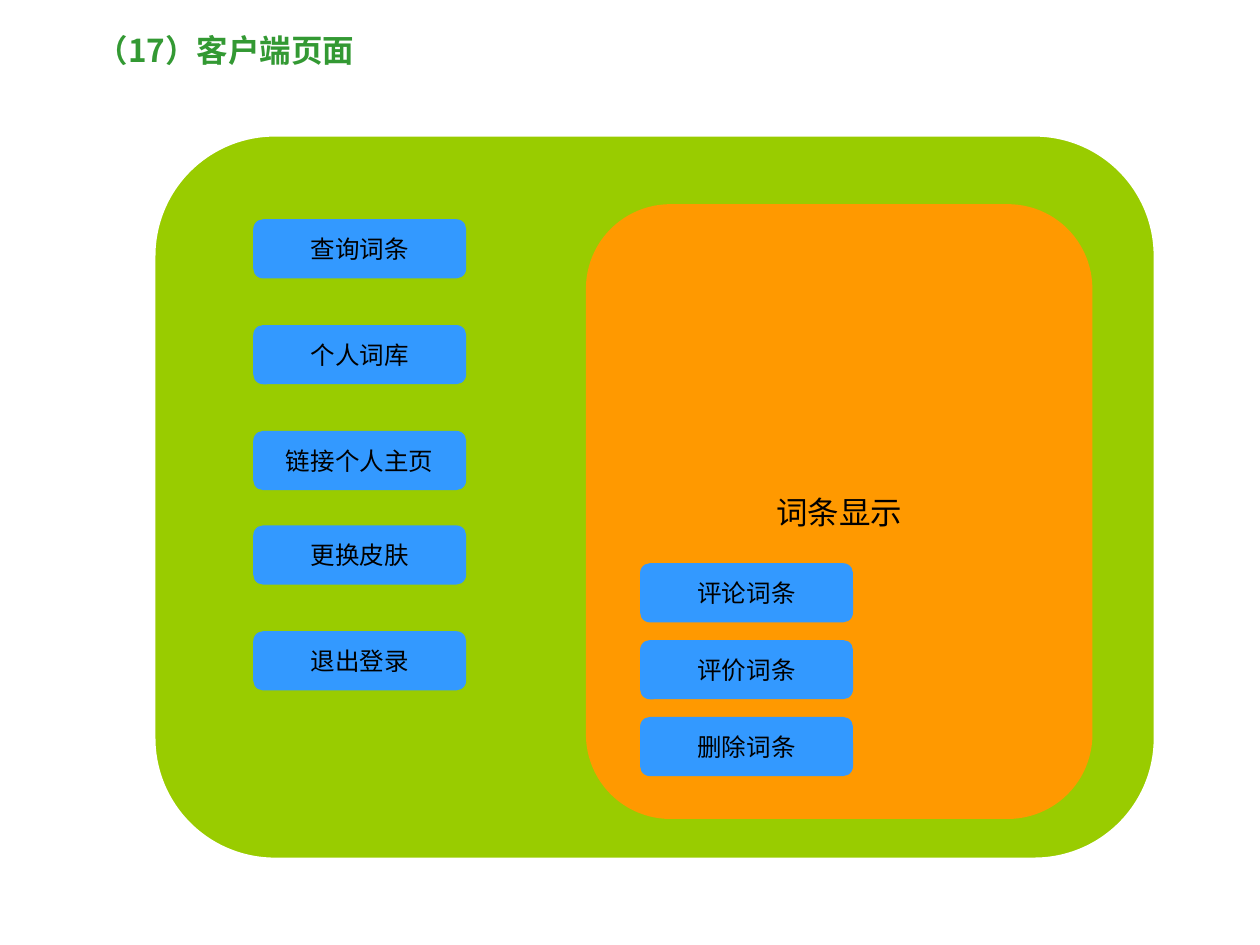
from pptx import Presentation
from pptx import util as u
from pptx.dml.color import RGBColor
from pptx.enum import shapes, text
from pptx.oxml import ns
from lxml import etree

COLUMNS, ROWS = 100, 75
CELL = u.Inches(0.1)
BUTTON_WIDTH, BUTTON_HEIGHT = 16.9, 4.7
MENU_PITCH, ACTION_PITCH = 8.4, 6.1
CORNER = 0.167
FONT = "Noto Sans CJK SC"

TITLE_GREEN = RGBColor(0x33, 0x99, 0x33)
LIME = RGBColor(0x99, 0xCC, 0x00)
ORANGE = RGBColor(0xFF, 0x99, 0x00)
BLUE = RGBColor(0x33, 0x99, 0xFF)
WHITE = RGBColor(0xFF, 0xFF, 0xFF)
BLACK = RGBColor(0x00, 0x00, 0x00)


def on_grid(box):
    return [round(length * CELL) for length in box]


def write(frame, words, size, color, align, bold=False):
    paragraph = frame.paragraphs[0]
    paragraph.text = words
    paragraph.alignment = align
    font = paragraph.font
    font.name, font.size, font.bold = FONT, u.Pt(size), bold
    font.color.rgb = color
    latin = paragraph._p.pPr.find(ns.qn("a:defRPr")).find(ns.qn("a:latin"))
    east_asian = etree.Element(ns.qn("a:ea"), typeface=FONT)
    latin.addnext(east_asian)


def rounded(slide, box, fill, words="", size=14):
    panel = slide.shapes.add_shape(shapes.MSO_SHAPE.ROUNDED_RECTANGLE, *on_grid(box))
    panel.adjustments[0] = CORNER
    panel.shadow.inherit = False
    panel.fill.solid()
    panel.fill.fore_color.rgb = fill
    panel.line.fill.background()
    if words:
        panel.text_frame.vertical_anchor = text.MSO_ANCHOR.MIDDLE
        write(panel.text_frame, words, size, BLACK, text.PP_ALIGN.CENTER)
    return panel


def button_stack(slide, left, top, pitch, labels):
    for row, label in enumerate(labels):
        box = left, top + row * pitch, BUTTON_WIDTH, BUTTON_HEIGHT
        rounded(slide, box, BLUE, label)


def heading(slide, box):
    title = slide.shapes.add_textbox(*on_grid(box)).text_frame
    title.word_wrap = True
    title.auto_size = text.MSO_AUTO_SIZE.SHAPE_TO_FIT_TEXT
    write(title, "（17）客户端页面", 18, TITLE_GREEN, text.PP_ALIGN.LEFT, bold=True)


def entry_display(slide, box):
    left, top, _, _ = box
    rounded(slide, box, ORANGE, "词条显示", 18)
    button_stack(slide, left + 4.3, top + 28.5, ACTION_PITCH,
                 ["评论词条", "评价词条", "删除词条"])


def client_page(slide, box):
    left, top, _, _ = box
    page = rounded(slide, box, LIME)
    page.line.color.rgb = WHITE
    page.line.width = u.Pt(2)
    menu_left = left + 7.9
    button_stack(slide, menu_left, top + 6.7, MENU_PITCH,
                 ["查询词条", "个人词库", "链接个人主页"])
    button_stack(slide, menu_left, top + 31, MENU_PITCH, ["更换皮肤", "退出登录"])
    entry_display(slide, (left + 34.3, top + 5.5, 40.2, 48.8))


def main():
    deck = Presentation()
    deck.slide_width, deck.slide_height = COLUMNS * CELL, ROWS * CELL
    slide = deck.slides.add_slide(deck.slide_layouts[6])
    heading(slide, (6.7, 2, 24.4, 4))
    client_page(slide, (12.2, 10.7, 79.5, 57.5))
    deck.save("out.pptx")


if __name__ == "__main__":
    main()
